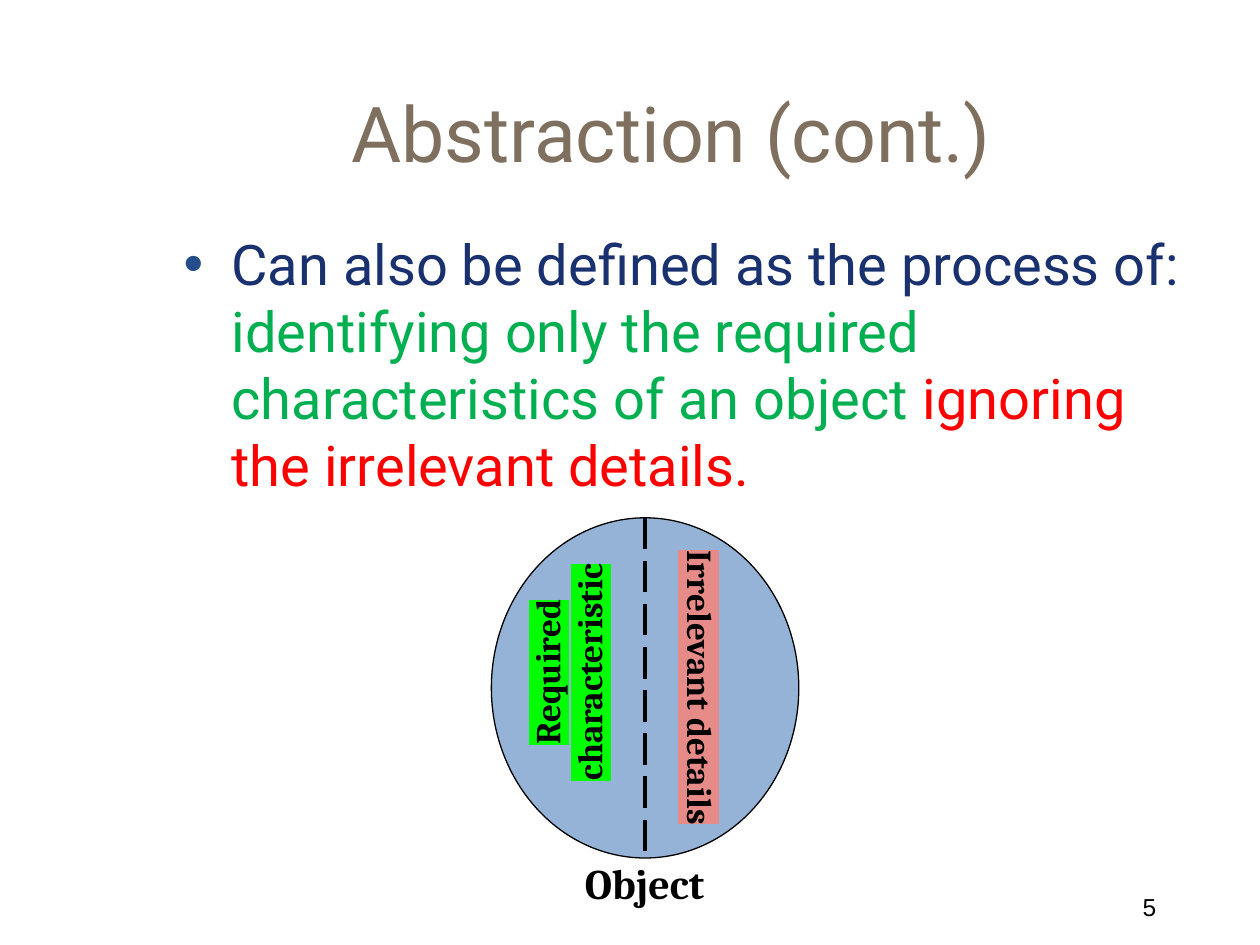
from lxml.etree import SubElement
from pptx import Presentation
from pptx.dml.color import RGBColor
from pptx.enum.dml import MSO_LINE_DASH_STYLE as Dash
from pptx.enum.shapes import MSO_CONNECTOR_TYPE as Connector, MSO_SHAPE as Shape
from pptx.enum.text import MSO_ANCHOR as Anchor, PP_ALIGN as Align
from pptx.oxml.ns import qn
from pptx.util import Inches, Pt

THEME = {
    "title": {"name": "Roboto", "size": Pt(44), "color": "7F6F5E"},
    "body": {"name": "Roboto", "size": Pt(32), "color": "1A3170"},
    "label": {"name": "Cambria", "size": Pt(20), "bold": True, "color": "000000"},
    "caption": {"name": "Cambria", "size": Pt(24), "bold": True, "color": "000000"},
    "number": {"name": "Arial", "size": Pt(14), "color": "000000"},
    "bullet": "264D8B",
    "required": "00B050",
    "ignored": "FF0000",
    "required_mark": "00FF00",
    "ignored_mark": "E68B88",
    "object": "95B3D7",
    "line": "000000",
}


def add_span(para, text, style, color=None, highlight=None):
    """Add a run in a theme style, with an optional colour and highlight."""
    span = para.add_run()
    span.text = text
    for name, value in THEME[style].items():
        if name != "color":
            setattr(span.font, name, value)
    span.font.color.rgb = RGBColor.from_string(color or THEME[style]["color"])
    if highlight:
        mark = SubElement(span.font._element, qn("a:highlight"))
        SubElement(mark, qn("a:srgbClr"), val=highlight)
        span.font._element.find(qn("a:solidFill")).addnext(mark)


def add_box(page, area, align=Align.LEFT, anchor=Anchor.TOP, rotation=0):
    """Add a wrapping text box and return its first paragraph."""
    box = page.shapes.add_textbox(*map(Inches, area))
    box.rotation = rotation
    box.text_frame.word_wrap = True
    box.text_frame.vertical_anchor = anchor
    para = box.text_frame.paragraphs[0]
    para.alignment = align
    return para


deck = Presentation()
deck.slide_width, deck.slide_height = Inches(10), Inches(7.5)
page = deck.slides.add_slide(deck.slide_layouts[6])

# Slide number and title
add_span(add_box(page, (8.75, 7.03, 0.58, 0.33), Align.RIGHT), "5 ", "number")
title = add_box(page, (1.08, 0.42, 8.5, 1.25), Align.CENTER, Anchor.MIDDLE)
add_span(title, "Abstraction (cont.)", "title")

# Bulleted definition
definition = add_box(page, (1.36, 1.77, 8.17, 4.67))
definition.space_before = Pt(6.4)
bullet_format = definition._p.get_or_add_pPr()
bullet_format.set("marL", str(Inches(0.38)))
bullet_format.set("indent", str(Inches(-0.38)))
bullet_color = SubElement(bullet_format, qn("a:buClr"))
SubElement(bullet_color, qn("a:srgbClr"), val=THEME["bullet"])
SubElement(bullet_format, qn("a:buFont"), typeface="Arial")
SubElement(bullet_format, qn("a:buChar"), char="•")
for text, color in [
    ("Can also be defined as the process of: ", None),
    ("identifying only the required characteristics of an object ", THEME["required"]),
    ("ignoring the irrelevant details. ", THEME["ignored"]),
]:
    add_span(definition, text, "body", color)

# Object split by a dashed line
top, height = 4.11, 2.7
circle = page.shapes.add_shape(
    Shape.OVAL, Inches(3.9), Inches(top), Inches(2.44), Inches(height))
circle.shadow.inherit = False
circle.fill.solid()
circle.fill.fore_color.rgb = RGBColor.from_string(THEME["object"])
divider = page.shapes.add_connector(
    Connector.STRAIGHT, Inches(5.12), Inches(top), Inches(5.12), Inches(top + height))
SubElement(divider._element.spPr, qn("a:effectLst"))
for outlined, width in [(circle, 0.75), (divider, 2.25)]:
    outlined.line.color.rgb = RGBColor.from_string(THEME["line"])
    outlined.line.width = Pt(width)
divider.line.dash_style = Dash.LONG_DASH

# Labels of the two halves and the caption
for text, area, align, rotation, style, mark in [
    ("Required characteristic", (3.54, 4.95, 1.93, 0.77), Align.CENTER, 270,
     "label", THEME["required_mark"]),
    ("Irrelevant details", (4.27, 5.34, 2.58, 0.44), Align.LEFT, 90,
     "label", THEME["ignored_mark"]),
    ("Object", (4.21, 6.76, 1.81, 0.5), Align.CENTER, 0, "caption", None),
]:
    add_span(add_box(page, area, align, rotation=rotation), text, style, highlight=mark)

deck.save("out.pptx")
